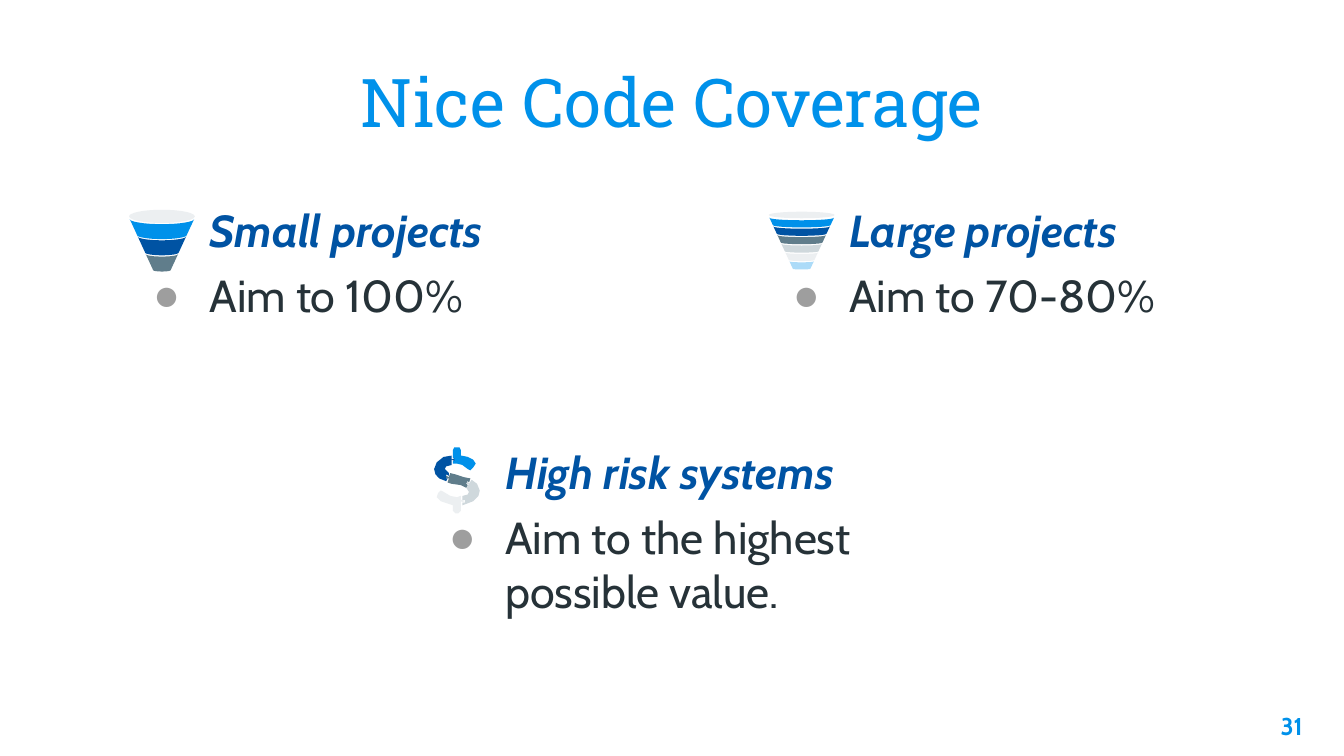
from math import cos, pi, sin

from lxml.etree import SubElement
from pptx import Presentation
from pptx.dml.color import RGBColor
from pptx.enum.shapes import MSO_SHAPE as Shape
from pptx.enum.text import MSO_ANCHOR as Anchor, MSO_AUTO_SIZE as AutoSize, PP_ALIGN as Align
from pptx.oxml.ns import qn
from pptx.util import Inches, Pt

SKY, NAVY, SLATE = "0091EA", "0053A3", "607D8B"
SILVER, MIST, PALE = "CFD8DC", "ECEFF1", "ACDBF8"
INK, BULLET = "263238", "9E9E9E"

# Dollar sign: each stroke as a colour and its outline in inches
DOLLAR = [
    (SLATE, [(3.35, 3.52), (3.39, 3.53), (3.45, 3.55), (3.5, 3.56), (3.49, 3.59),
             (3.48, 3.58), (3.47, 3.6), (3.48, 3.61), (3.47, 3.63), (3.43, 3.61),
             (3.36, 3.6), (3.33, 3.59), (3.34, 3.56), (3.32, 3.56), (3.32, 3.54),
             (3.34, 3.55)]),
    (SKY, [(3.37, 3.35), (3.38, 3.33), (3.42, 3.33), (3.43, 3.35), (3.43, 3.39),
           (3.48, 3.4), (3.52, 3.42), (3.54, 3.45), (3.52, 3.48), (3.5, 3.5),
           (3.48, 3.49), (3.44, 3.46), (3.4, 3.45), (3.37, 3.45), (3.37, 3.43),
           (3.38, 3.43), (3.38, 3.41), (3.37, 3.41)]),
    (NAVY, [(3.36, 3.39), (3.3, 3.4), (3.25, 3.44), (3.23, 3.49), (3.24, 3.53),
            (3.27, 3.56), (3.32, 3.58), (3.33, 3.56), (3.32, 3.56), (3.32, 3.53),
            (3.34, 3.54), (3.34, 3.52), (3.31, 3.49), (3.32, 3.47), (3.36, 3.46),
            (3.36, 3.42), (3.38, 3.43), (3.38, 3.41), (3.36, 3.42)]),
    (MIST, [(3.43, 3.69), (3.4, 3.7), (3.35, 3.69), (3.3, 3.66), (3.28, 3.65),
            (3.26, 3.67), (3.25, 3.7), (3.28, 3.73), (3.37, 3.76), (3.37, 3.8),
            (3.39, 3.82), (3.41, 3.82), (3.43, 3.8), (3.43, 3.73), (3.45, 3.74),
            (3.45, 3.72), (3.43, 3.72)]),
    (SILVER, [(3.51, 3.57), (3.55, 3.6), (3.57, 3.65), (3.56, 3.69), (3.52, 3.73),
              (3.44, 3.76), (3.44, 3.74), (3.46, 3.74), (3.46, 3.72), (3.44, 3.72),
              (3.44, 3.69), (3.48, 3.68), (3.49, 3.66), (3.47, 3.63), (3.49, 3.6),
              (3.47, 3.6), (3.48, 3.58), (3.49, 3.6)]),
]


def rgb(value):
    return RGBColor.from_string(value)


def place(sp, left, top, width, height):
    sp.left, sp.top = Inches(left), Inches(top)
    sp.width, sp.height = Inches(width), Inches(height)


def setup_frame(sp):
    tf = sp.text_frame
    tf.word_wrap, tf.auto_size = True, AutoSize.NONE
    tf.vertical_anchor = Anchor.TOP
    tf.margin_left = tf.margin_right = tf.margin_top = tf.margin_bottom = Inches(0.1)
    return tf


def write(p, text, *, size, color, font="Cabin", bold=False, italic=False,
          align=Align.LEFT, before=0):
    p.alignment, p.space_before, p.line_spacing = align, Pt(before), 1.0
    r = p.add_run()
    r.text = text
    f = r.font
    f.name, f.size, f.bold, f.italic = font, Pt(size), bold, italic
    f.color.rgb = rgb(color)


def set_indent(p, indent, bullet=None):
    """Indent a paragraph by half an inch, with or without a bullet."""
    pPr = p._p.get_or_add_pPr()
    pPr.set("marL", str(Inches(0.5)))
    pPr.set("indent", str(Inches(indent)))
    if not bullet:
        SubElement(pPr, qn("a:buNone"))
        return
    clr = SubElement(pPr, qn("a:buClr"))
    SubElement(clr, qn("a:srgbClr"), val=BULLET)
    SubElement(pPr, qn("a:buFont"), typeface="Arial")
    SubElement(pPr, qn("a:buChar"), char=bullet)


def fill_body(sp, left, top, heading, advice):
    place(sp, left, top, 3.99, 2.41)
    tf = setup_frame(sp)
    p = tf.paragraphs[0]
    write(p, heading, size=24, color=NAVY, bold=True, italic=True, before=6)
    set_indent(p, 0)
    p = tf.add_paragraph()
    write(p, advice, size=24, color=INK, before=6)
    set_indent(p, -0.42, bullet="●")


def paint(sp, color):
    sp.shadow.inherit = False
    sp.fill.solid()
    sp.fill.fore_color.rgb = rgb(color)
    sp.line.fill.background()


def add_outline(group, points, color):
    pts = [(Inches(x), Inches(y)) for x, y in points]
    fb = group.shapes.build_freeform(*pts[0])
    fb.add_line_segments(pts[1:], close=True)
    paint(fb.convert_to_shape(), color)


def arc(cx, y, half, sag, steps=16):
    """Lower half of an ellipse, from left to right."""
    angles = [pi * i / steps for i in range(steps + 1)]
    return [(cx - half * cos(a), y + sag * half * sin(a)) for a in angles]


def add_funnel(slide, left, top, depth, sag, colors):
    """Stack equal bands that narrow downwards below an elliptical rim."""
    group = slide.shapes.add_group_shape()
    cx, slope, gap = left + 0.245, 0.46, 0.01
    pitch = depth / len(colors)
    band = pitch - gap
    for i, color in enumerate(colors):
        y = top + i * pitch
        half = 0.24 - slope * i * pitch
        upper = arc(cx, y, half, sag)
        lower = arc(cx, y + band, half - slope * band, sag)
        add_outline(group, upper + lower[::-1], color)
    rim = 0.49 * sag * 1.25
    sp = group.shapes.add_shape(Shape.OVAL, Inches(left), Inches(top - rim / 2 - 0.02),
                                Inches(0.49), Inches(rim))
    paint(sp, MIST)


def add_dollar(slide):
    group = slide.shapes.add_group_shape()
    for color, points in DOLLAR:
        add_outline(group, points, color)


def main():
    prs = Presentation()
    prs.slide_width, prs.slide_height = Inches(10), Inches(10 * 9 / 16)
    slide = prs.slides.add_slide(prs.slide_layouts[4])
    title, *bodies, spare = slide.placeholders
    spare.element.getparent().remove(spare.element)

    # Title
    place(title, 2.52, 0.35, 4.96, 0.81)
    write(setup_frame(title).paragraphs[0], "Nice Code Coverage", size=36, color=SKY,
          font="Roboto Slab", align=Align.CENTER)

    # Advice for each kind of project
    advice = [
        (0.96, 1.41, "Small projects", "Aim to 100%"),
        (5.72, 1.41, "Large projects", "Aim to 70-80%"),
        (3.16, 3.21, "High risk systems", "Aim to the highest possible value."),
    ]
    for sp, item in zip(bodies, advice):
        fill_body(sp, *item)

    # Icons
    add_funnel(slide, 0.96, 1.63, 0.39, 0.16, [SKY, NAVY, SLATE])
    add_funnel(slide, 5.72, 1.62, 0.39, 0.08, [SKY, NAVY, SLATE, SILVER, MIST, PALE])
    add_dollar(slide)

    # Page number
    box = slide.shapes.add_textbox(Inches(9.19), Inches(5.19), Inches(0.6), Inches(0.43))
    write(setup_frame(box).paragraphs[0], "31", size=13, color=SKY, bold=True,
          align=Align.RIGHT)

    prs.save("out.pptx")


if __name__ == "__main__":
    main()
